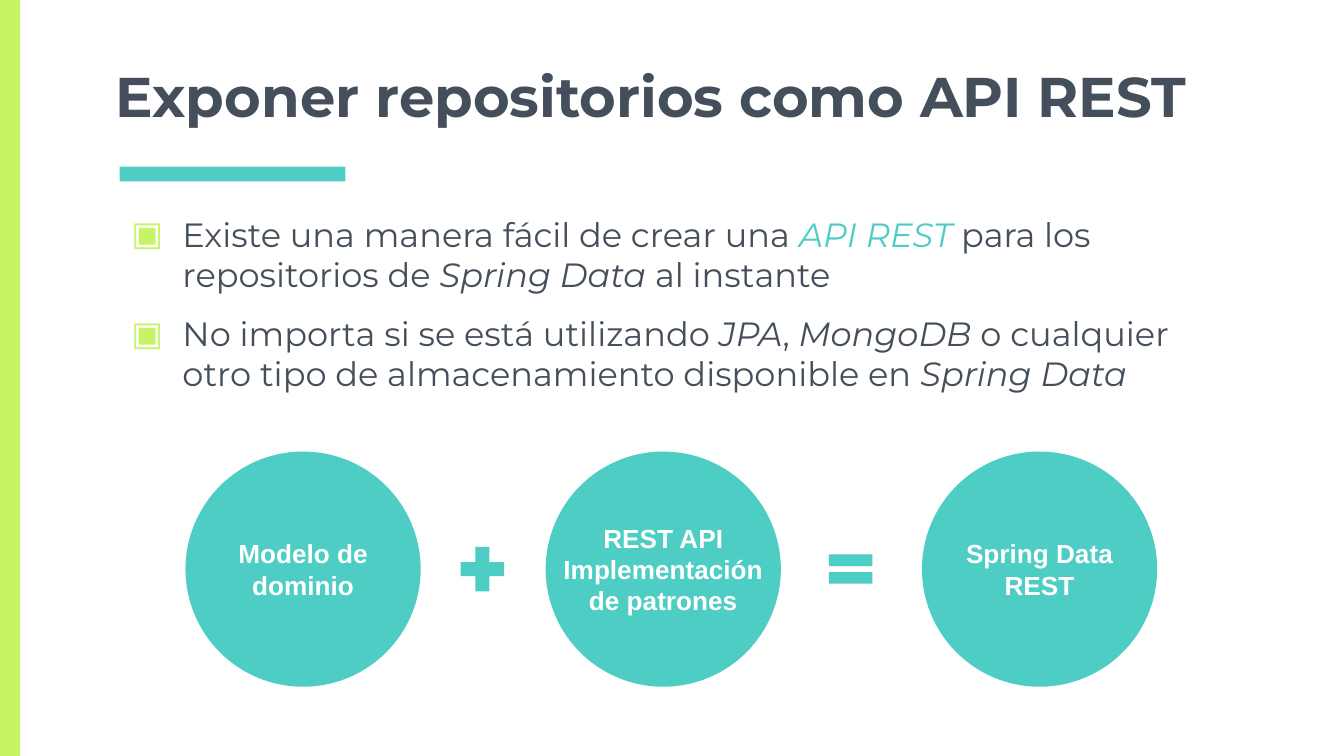
from pptx import Presentation
from pptx.dml.color import RGBColor
from pptx.enum.shapes import MSO_SHAPE
from pptx.enum.text import MSO_ANCHOR, MSO_AUTO_SIZE, PP_ALIGN
from pptx.oxml.ns import qn
from pptx.util import Inches, Pt
from lxml import etree

RECT, OVAL = MSO_SHAPE.RECTANGLE, MSO_SHAPE.OVAL
PLUS, EQUAL = MSO_SHAPE.MATH_PLUS, MSO_SHAPE.MATH_EQUAL
TOP, MIDDLE, BOTTOM = MSO_ANCHOR.TOP, MSO_ANCHOR.MIDDLE, MSO_ANCHOR.BOTTOM
LEFT, CENTER = PP_ALIGN.LEFT, PP_ALIGN.CENTER
NO_AUTOFIT = MSO_AUTO_SIZE.NONE

TEAL, LIME, SLATE, WHITE = "4ECDC4", "C7F464", "454F5B", "FFFFFF"
TITLE_FONT = {"name": "Montserrat", "size": Pt(30), "bold": True}
BODY_FONT = {"name": "Montserrat", "size": Pt(18)}
LABEL_FONT = {"name": "Arial", "size": Pt(14), "bold": True}

# Each run: text, italic, colour
BULLETS = [
    [("Existe una manera fácil de crear una ", False, SLATE),
     ("API REST", True, TEAL),
     (" para los repositorios de ", False, SLATE),
     ("Spring Data", True, SLATE),
     (" al instante", False, SLATE)],
    [("No importa si se está utilizando ", False, SLATE),
     ("JPA", True, SLATE),
     (", ", False, SLATE),
     ("MongoDB", True, SLATE),
     (" o cualquier otro tipo de almacenamiento disponible en ", False, SLATE),
     ("Spring Data", True, SLATE)],
]

# Left offset within the equation, lines of the label
TERMS = [
    (0, ["Modelo de dominio"]),
    (2.68, ["REST API Implementación", "de patrones"]),
    (5.48, ["Spring Data REST"]),
]
# Left offset, height, shape, adjustments
OPERATORS = [
    (1.99, 0.45, PLUS, [0.235]),
    (4.73, 0.37, EQUAL, [0.235, 0.118]),
]
OPERATOR_WIDTH = 0.44


def rgb(hex_color):
    return RGBColor.from_string(hex_color)


def style_font(font, values, color):
    for key, value in values.items():
        setattr(font, key, value)
    font.color.rgb = rgb(color)


def set_frame(frame, anchor):
    values = {"word_wrap": True, "auto_size": NO_AUTOFIT, "vertical_anchor": anchor}
    for side in ("left", "top", "right", "bottom"):
        values[f"margin_{side}"] = Inches(0.1)
    for key, value in values.items():
        setattr(frame, key, value)


def add_filled(slide, kind, box, color):
    shape = slide.shapes.add_shape(kind, *map(Inches, box))
    shape.shadow.inherit = False
    shape.fill.solid()
    shape.fill.fore_color.rgb = rgb(color)
    shape.line.fill.background()
    return shape


def add_text_frame(slide, box, anchor):
    frame = slide.shapes.add_textbox(*map(Inches, box)).text_frame
    set_frame(frame, anchor)
    return frame


def next_paragraph(frame, index):
    return frame.add_paragraph() if index else frame.paragraphs[0]


def set_bullet(paragraph, symbol, color):
    properties = paragraph._p.get_or_add_pPr()
    properties.set("marL", str(Inches(0.5)))
    properties.set("indent", str(Inches(-0.38)))
    bullet_color = etree.SubElement(properties, qn("a:buClr"))
    etree.SubElement(bullet_color, qn("a:srgbClr"), val=color)
    etree.SubElement(properties, qn("a:buFont"), typeface=BODY_FONT["name"])
    etree.SubElement(properties, qn("a:buChar"), char=symbol)


def add_decoration(slide, height):
    add_filled(slide, RECT, (0.89, 1.24, 1.68, 0.11), TEAL)
    add_filled(slide, RECT, (0, 0, 0.15, height), LIME)


def add_title(slide, box):
    title = slide.shapes.title
    title.left, title.top, title.width, title.height = map(Inches, box)
    set_frame(title.text_frame, BOTTOM)
    title.text_frame.text = "Exponer repositorios como API REST"
    paragraph = title.text_frame.paragraphs[0]
    paragraph.alignment = LEFT
    style_font(paragraph.runs[0].font, TITLE_FONT, SLATE)


def add_bullets(slide, box):
    frame = add_text_frame(slide, box, TOP)
    for index, runs in enumerate(BULLETS):
        paragraph = next_paragraph(frame, index)
        set_bullet(paragraph, "▣", LIME)
        if index:
            paragraph.space_before = Pt(10)
        for text, italic, color in runs:
            run = paragraph.add_run()
            run.text = text
            style_font(run.font, {**BODY_FONT, "italic": italic}, color)


def add_term(slide, box, lines):
    add_filled(slide, OVAL, box, TEAL)
    # The label needs the full width, wider than the text area of an oval
    frame = add_text_frame(slide, box, MIDDLE)
    for index, line in enumerate(lines):
        paragraph = next_paragraph(frame, index)
        paragraph.alignment = CENTER
        run = paragraph.add_run()
        run.text = line
        style_font(run.font, LABEL_FONT, WHITE)


def add_equation(slide, left, top, diameter):
    for offset, lines in TERMS:
        add_term(slide, (left + offset, top, diameter, diameter), lines)
    for offset, height, kind, adjustments in OPERATORS:
        operator_top = top + (diameter - height) / 2
        operator = add_filled(
            slide, kind, (left + offset, operator_top, OPERATOR_WIDTH, height), TEAL)
        for index, value in enumerate(adjustments):
            operator.adjustments[index] = value


def main():
    width = 10
    height = width * 9 / 16
    presentation = Presentation()
    presentation.slide_width = Inches(width)
    presentation.slide_height = Inches(height)
    slide = presentation.slides.add_slide(presentation.slide_layouts[5])
    add_decoration(slide, height)
    add_title(slide, (0.76, 0, 8.49, 1.06))
    add_bullets(slide, (0.76, 1.49, 8.36, 3.62))
    add_equation(slide, 1.38, 3.36, 1.75)
    presentation.save("out.pptx")


if __name__ == "__main__":
    main()
